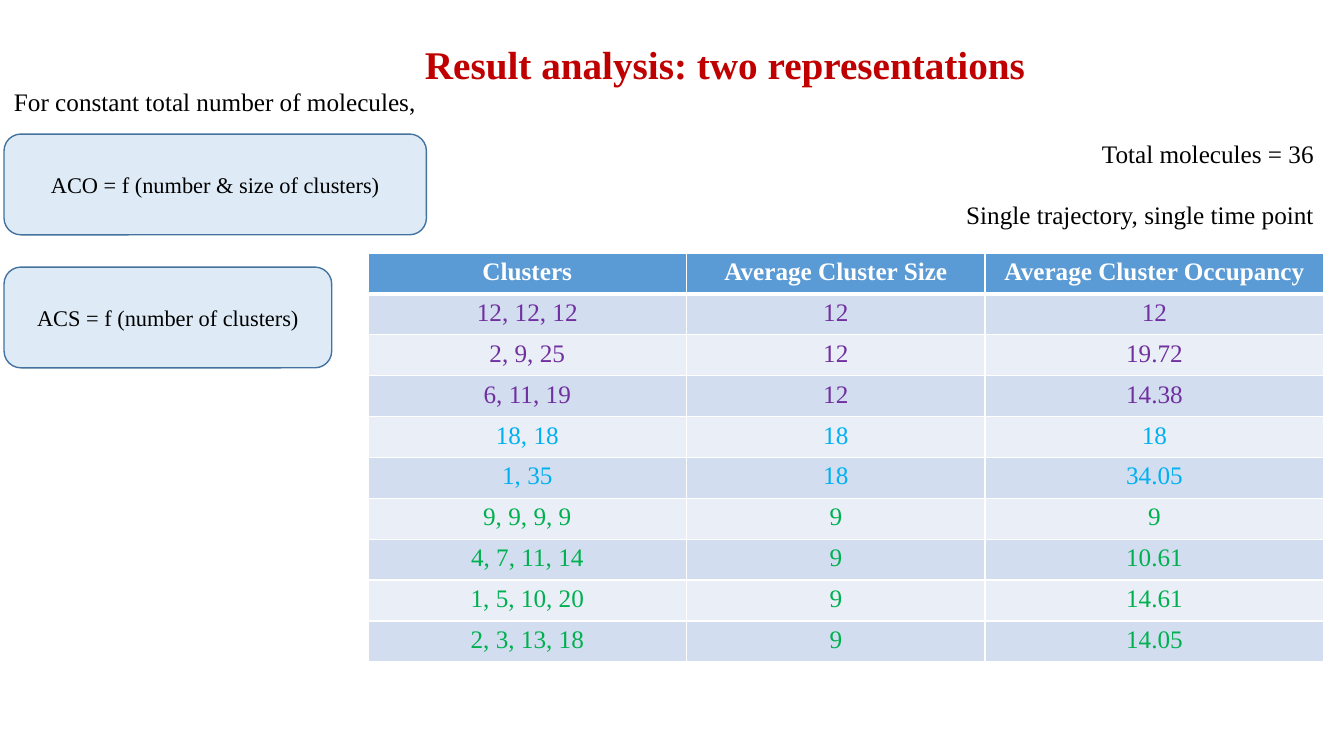
from dataclasses import dataclass

from lxml.etree import SubElement
from pptx import Presentation
from pptx.dml.color import RGBColor
from pptx.enum.shapes import MSO_SHAPE
from pptx.enum.text import MSO_ANCHOR, MSO_AUTO_SIZE, PP_ALIGN
from pptx.oxml.ns import qn
from pptx.util import Inches, Pt


@dataclass(frozen=True)
class Theme:
    font: str = "Times New Roman"
    title: int = 28
    body: int = 18
    small: int = 16
    gap: float = 22.5
    thin: int = 1
    thick: int = 3
    black: str = "000000"
    white: str = "FFFFFF"
    red: str = "C00000"
    violet: str = "7030A0"
    cyan: str = "00B0F0"
    green: str = "00B050"
    head: str = "5B9BD5"
    bands: tuple = ("EAEFF7", "D2DEEF")
    panel: str = "DEEBF7"
    edge: str = "43739E"


class Painter:
    GRID = 100

    def __init__(self, deck, theme):
        self.theme = theme
        self.col = deck.slide_width / self.GRID
        self.row = deck.slide_height / self.GRID
        self.slide = deck.slides.add_slide(deck.slide_layouts[6])

    def place(self, left, top, width, height):
        return (round(left * self.col), round(top * self.row),
                round(width * self.col), round(height * self.row))

    def letter(self, frame, lines, size, color, align, bold=False):
        for place, line in enumerate(lines):
            para = frame.add_paragraph() if place else frame.paragraphs[0]
            para.alignment = align
            if place:
                para.space_before = Pt(self.theme.gap)
            run = para.add_run()
            run.text = line
            run.font.name = self.theme.font
            run.font.size = Pt(size)
            run.font.bold = bold
            run.font.color.rgb = RGBColor.from_string(color)

    def text(self, area, lines, size, color, align, bold=False):
        frame = self.slide.shapes.add_textbox(*self.place(*area)).text_frame
        frame.word_wrap = False
        frame.auto_size = MSO_AUTO_SIZE.SHAPE_TO_FIT_TEXT
        self.letter(frame, lines, size, color, align, bold)

    def panel(self, area, label):
        theme = self.theme
        shape = self.slide.shapes.add_shape(
            MSO_SHAPE.ROUNDED_RECTANGLE, *self.place(*area))
        shape.shadow.inherit = False
        shape.fill.solid()
        shape.fill.fore_color.rgb = RGBColor.from_string(theme.panel)
        shape.line.color.rgb = RGBColor.from_string(theme.edge)
        shape.line.width = Pt(theme.thin)
        shape.text_frame.word_wrap = True
        shape.text_frame.vertical_anchor = MSO_ANCHOR.MIDDLE
        self.letter(shape.text_frame, [label], theme.small, theme.black, PP_ALIGN.CENTER)

    def border(self, cell, top, base):
        props = cell._tc.get_or_add_tcPr()
        thin = self.theme.thin
        for side, width in zip("LRTB", (thin, thin, top, base)):
            line = SubElement(props, qn(f"a:ln{side}"), w=str(int(Pt(width))))
            fill = SubElement(line, qn("a:solidFill"))
            SubElement(fill, qn("a:srgbClr"), val=self.theme.white)

    def table(self, left, top, widths, height, head, groups):
        theme = self.theme
        rows = [(theme.white, head)]
        rows += [(color, row) for color, group in groups for row in group]
        area = self.place(left, top, sum(widths), height * len(rows))
        table = self.slide.shapes.add_table(len(rows), len(head), *area).table
        for column, width in zip(table.columns, widths):
            column.width = round(width * self.col)
        for y, (color, values) in enumerate(rows):
            table.rows[y].height = round(height * self.row)
            paint = theme.bands[y % 2] if y else theme.head
            for x, value in enumerate(values):
                cell = table.cell(y, x)
                self.border(cell, theme.thick if y == 1 else theme.thin,
                            theme.thin if y else theme.thick)
                cell.fill.solid()
                cell.fill.fore_color.rgb = RGBColor.from_string(paint)
                self.letter(cell.text_frame, [value], theme.body, color,
                            PP_ALIGN.CENTER, y == 0)


def main():
    deck = Presentation()
    deck.slide_width, deck.slide_height = Inches(13.33), Inches(7.5)
    theme = Theme()
    page = Painter(deck, theme)

    page.text((30.61, 4.67, 46.66, 7.6), ["Result analysis: two representations"],
              theme.title, theme.red, PP_ALIGN.CENTER, True)
    page.table(
        27.38, 33.47, (23.71, 22.21, 25.21), 5.41,
        ("Clusters", "Average Cluster Size", "Average Cluster Occupancy"),
        (
            (theme.violet, (("12, 12, 12", "12", "12"),
                            ("2, 9, 25", "12", "19.72"),
                            ("6, 11, 19", "12", "14.38"))),
            (theme.cyan, (("18, 18", "18", "18"),
                          ("1, 35", "18", "34.05"))),
            (theme.green, (("9, 9, 9, 9", "9", "9"),
                           ("4, 7, 11, 14", "9", "10.61"),
                           ("1, 5, 10, 20", "9", "14.61"),
                           ("2, 3, 13, 18", "9", "14.05"))),
        ))
    page.text((70.52, 17.6, 27.98, 13.47),
              ["Total molecules = 36", "Single trajectory, single time point"],
              theme.body, theme.black, PP_ALIGN.RIGHT)
    page.panel((0.3, 35.33, 24.38, 13.33), "ACS = f (number of clusters)")
    page.panel((0.3, 17.73, 31.43, 13.33), "ACO = f (number & size of clusters)")
    page.text((0.3, 10.8, 31.73, 5.33), ["For constant total number of molecules,"],
              theme.body, theme.black, PP_ALIGN.LEFT)

    deck.save("out.pptx")


if __name__ == "__main__":
    main()
